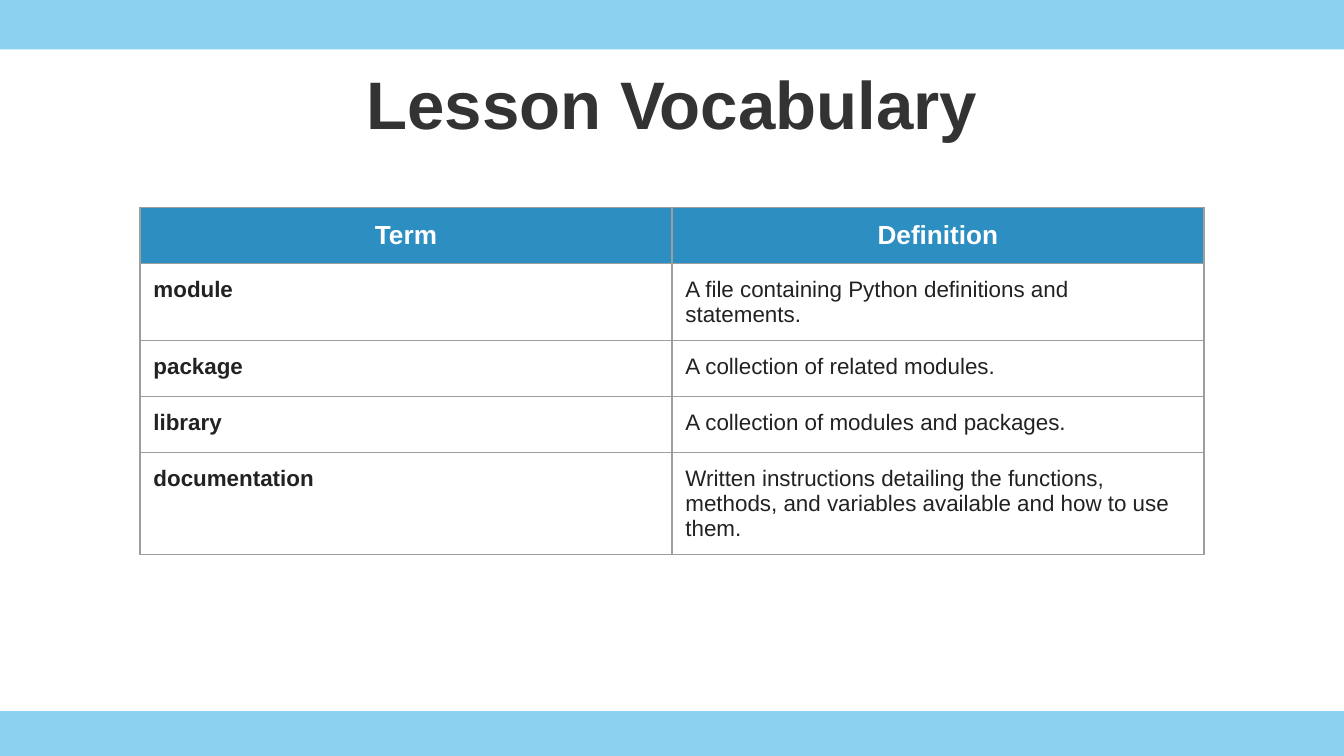
from lxml import etree
from pptx import Presentation
from pptx.dml.color import RGBColor
from pptx.enum.shapes import MSO_SHAPE
from pptx.enum.text import MSO_ANCHOR, MSO_AUTO_SIZE, PP_ALIGN
from pptx.oxml.ns import qn
from pptx.util import Pt

RECT = MSO_SHAPE.RECTANGLE
BOTTOM = MSO_ANCHOR.BOTTOM
FIXED = MSO_AUTO_SIZE.NONE
LEFT, CENTER = PP_ALIGN.LEFT, PP_ALIGN.CENTER

WIDE, HIGH = 720, 405
TERMS = [
    ("Term", "Definition"),
    ("module", "A file containing Python definitions and statements."),
    ("package", "A collection of related modules."),
    ("library", "A collection of modules and packages."),
    ("documentation", "Written instructions detailing the functions, "
     "methods, and variables available and how to use them."),
]


def color(code):
    return RGBColor.from_string(code)


class Deck:
    font = "Arial"
    blue, sky, grid = "2D8EC2", "27A9E1", "9E9E9E"
    white, dark, ink = "FFFFFF", "333333", "222222"
    inset = 7.2

    def __init__(self):
        self.file = Presentation()
        self.file.slide_width, self.file.slide_height = Pt(WIDE), Pt(HIGH)
        self.slide = self.file.slides.add_slide(self.file.slide_layouts[5])

    def pad(self, part):
        part.margin_left = part.margin_right = Pt(self.inset)
        part.margin_top = part.margin_bottom = Pt(self.inset)

    def label(self, frame, text, size, tint, bold, align):
        frame.text = text
        para = frame.paragraphs[0]
        para.alignment = align
        font = para.runs[0].font
        font.name, font.size, font.bold = self.font, Pt(size), bold
        font.color.rgb = color(tint)

    def bar(self, top, height):
        shape = self.slide.shapes.add_shape(RECT, 0, Pt(top), Pt(WIDE), Pt(height))
        shape.shadow.inherit = False
        shape.line.fill.background()
        shape.fill.solid()
        shape.fill.fore_color.rgb = color(self.sky)
        # Let the background show through
        tint = shape.element.spPr.find(qn("a:solidFill"))[0]
        etree.SubElement(tint, qn("a:alpha")).set("val", "53000")

    def title(self, text, left, top, width, height):
        shape = self.slide.shapes.title
        shape.left, shape.top = Pt(left), Pt(top)
        shape.width, shape.height = Pt(width), Pt(height)
        frame = shape.text_frame
        frame.word_wrap, frame.auto_size = True, FIXED
        frame.vertical_anchor = BOTTOM
        self.pad(frame)
        self.label(frame, text, 36, self.dark, True, CENTER)
        # Bring the title in front of the bars
        shape.element.getparent().append(shape.element)

    def border(self, cell):
        props = cell._tc.get_or_add_tcPr()
        for side in ("lnL", "lnR", "lnT", "lnB"):
            line = etree.SubElement(props, qn("a:" + side), w=str(Pt(0.75)))
            fill = etree.SubElement(line, qn("a:solidFill"))
            etree.SubElement(fill, qn("a:srgbClr"), val=self.grid)

    def table(self, rows, left, top, width, step):
        grid = self.slide.shapes.add_table(
            len(rows), len(rows[0]), Pt(left), Pt(top),
            Pt(width), Pt(step * len(rows))).table
        grid.horz_banding = False
        for r, row in enumerate(rows):
            for c, text in enumerate(row):
                cell = grid.cell(r, c)
                self.pad(cell)
                self.border(cell)
                if r == 0:
                    cell.fill.solid()
                    cell.fill.fore_color.rgb = color(self.blue)
                    look = 14, self.white, True, CENTER
                else:
                    cell.fill.background()
                    look = 12, self.ink, c == 0, LEFT
                self.label(cell.text_frame, text, *look)


def main():
    deck = Deck()
    # Bands at top and bottom
    for top in (0, 381):
        deck.bar(top, 26.5)
    # Heading
    deck.title("Lesson Vocabulary", 36, 16.5, 648, 67.5)
    # Vocabulary
    deck.table(TERMS, 75, 111, 570, 30)
    deck.file.save("out.pptx")


if __name__ == "__main__":
    main()
